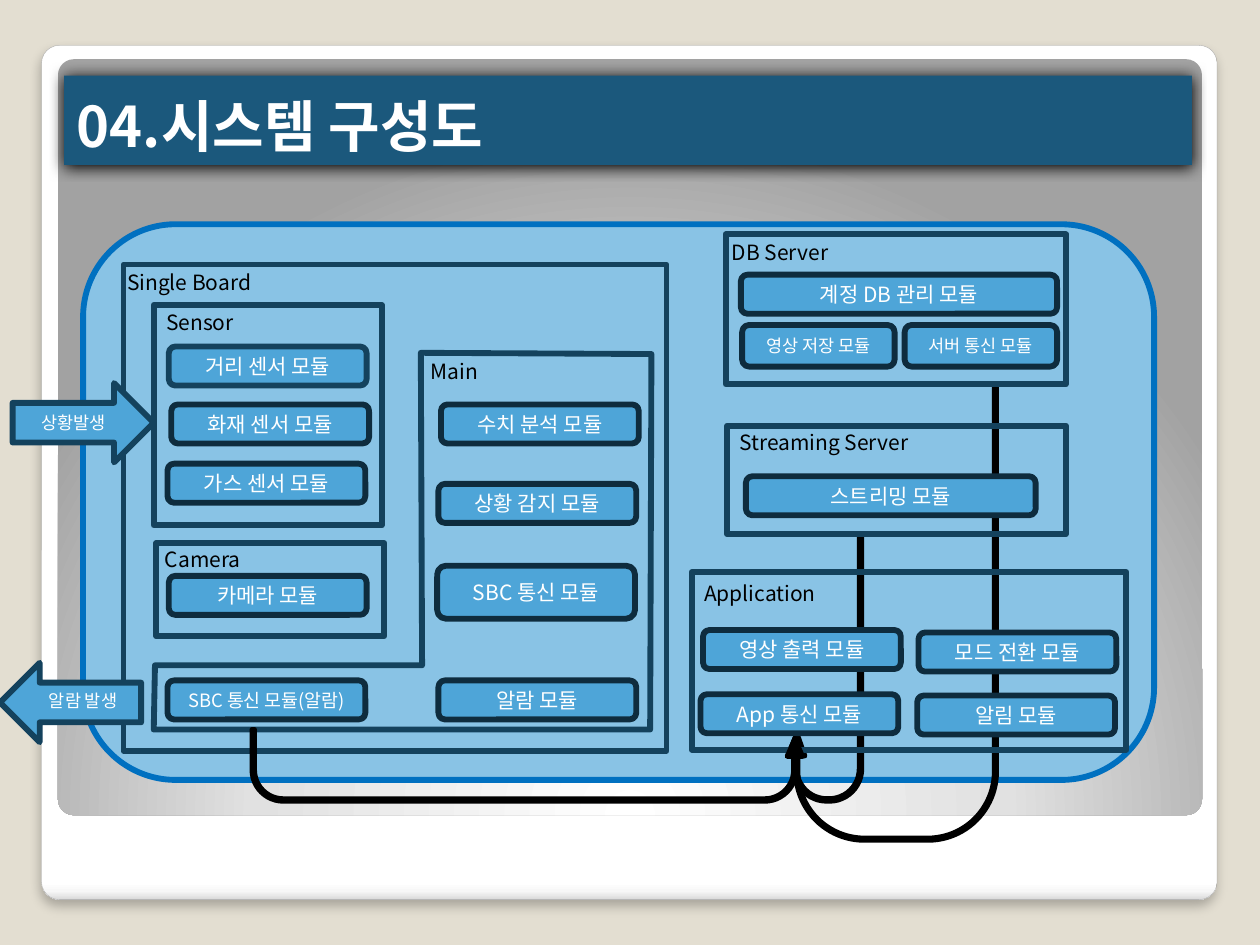
from lxml import etree
from pptx import Presentation
from pptx import util as u
from pptx.dml.color import RGBColor
from pptx.enum import shapes, text
from pptx.oxml import ns

THEME = dict(
    font="Noto Sans CJK KR", back="E3DED1", title_bar="1B587C",
    area="89C3E5", area_line="0070C0", frame="14425D",
    module="4EA5D8", module_line="0E2C3E", flow="000000",
    light="FFFFFF", dark="000000", card_line="A4A4A4",
    title_size=32, size=12, note=10.5, small=10,
    line=3.35, flow_line=2.75,
)
TITLE = "04.시스템 구성도"
CARD = (0.33, 0.36, 9.33, 6.78)
PANEL = (0.46, 0.47, 9.08, 6)
TITLE_BAR = (0.51, 0.6, 8.95, 0.71)
SYSTEM = (0.66, 1.78, 8.5, 4.41)

# box, adjustments, horizontal flip
SERVER_FLOWS = [
    ((6.26, 3.07, 1.65, 3.6), (0.011, 0.039, 0.111, 0.331, 0.237), True),
    ((6.25, 4.26, 0.59, 2.1), (0.036, 0.107, 0.25, 0.438, 0.242), True),
]
ALARM_FLOW = ((2, 5.79, 4.37, 0.57), (0.036, 0.107, 0.25, 0.438, 0.875), False)

FRAMES = [
    (0.98, 2.1, 4.31, 3.86), (1.22, 2.42, 1.81, 1.75), (1.24, 4.31, 1.81, 0.74),
    (5.77, 3.38, 2.69, 0.86), (5.49, 4.54, 3.45, 1.41), (5.76, 1.86, 2.7, 1.19),
]
MAIN_OUTLINE = [(3.34, 2.8), (5.17, 2.81), (5.16, 5.79),
                (1.22, 5.79), (1.23, 5.28), (3.35, 5.28)]
LABELS = [
    ("Single Board", 0.91, 2.09), ("Sensor", 1.22, 2.41), ("Camera", 1.21, 4.29),
    ("Main", 3.32, 2.8), ("Streaming Server", 5.77, 3.36),
    ("Application", 5.49, 4.56), ("DB Server", 5.71, 1.85),
]
# text, left, top, then any differences from the usual module
MODULE = dict(w=1.57, h=0.31, size="size", line="module_line")
MODULES = [
    ("거리 센서 모듈", 1.34, 2.75, dict(line="frame")),
    ("화재 센서 모듈", 1.36, 3.21, {}),
    ("가스 센서 모듈", 1.33, 3.68, {}),
    ("카메라 모듈", 1.34, 4.57, {}),
    ("SBC 통신 모듈(알람)", 1.33, 5.4, dict(size="note")),
    ("수치 분석 모듈", 3.5, 3.21, {}),
    ("상황 감지 모듈", 3.48, 3.84, {}),
    ("SBC 통신 모듈", 3.47, 4.49, dict(h=0.42)),
    ("알람 모듈", 3.48, 5.4, {}),
    ("계정 DB 관리 모듈", 5.88, 2.18, dict(w=2.51)),
    ("영상 저장 모듈", 5.89, 2.58, dict(w=1.21, h=0.33, size="small")),
    ("서버 통신 모듈", 7.18, 2.58, dict(w=1.21, h=0.33, size="small")),
    ("스트리밍 모듈", 5.92, 3.78, dict(w=2.3)),
    ("영상 출력 모듈", 5.58, 5, {}),
    ("모드 전환 모듈", 7.29, 5.02, {}),
    ("App 통신 모듈", 5.56, 5.51, {}),
    ("알림 모듈", 7.28, 5.52, {}),
]
EVENT_IN = ("상황발생", (0.1, 3.04, 1.12, 0.63))
ALARM_OUT = ("알람 발생", (0, 5.26, 1.12, 0.63), (0.29, 5.43, 0.81, 0.27))

SHAPE = shapes.MSO_SHAPE


def rgb(key):
    return RGBColor.from_string(THEME[key])


def style(sp, fill=None, line=None, width="line"):
    sp.shadow.inherit = False
    if fill:
        sp.fill.solid()
        sp.fill.fore_color.rgb = rgb(fill)
    else:
        sp.fill.background()
    if line:
        sp.line.color.rgb = rgb(line)
        sp.line.width = u.Pt(THEME[width])
    else:
        sp.line.fill.background()
    return sp


def add_box(slide, kind, box, fill=None, line=None, width="line"):
    sp = slide.shapes.add_shape(kind, *map(u.Inches, box))
    return style(sp, fill, line, width)


def write(sp, words, size="size", color="light", align=text.PP_ALIGN.CENTER,
          anchor=text.MSO_ANCHOR.MIDDLE, inset=0.02, bold=False):
    tf = sp.text_frame
    tf.text = words
    tf.word_wrap = True
    tf.auto_size = text.MSO_AUTO_SIZE.NONE
    tf.vertical_anchor = anchor
    tf.margin_left = tf.margin_right = u.Inches(inset)
    p = tf.paragraphs[0]
    p.alignment = align
    for r in p.runs:
        r.font.size = u.Pt(THEME[size])
        r.font.bold = bold
        r.font.color.rgb = rgb(color)
        r.font.name = THEME["font"]
        ea = etree.SubElement(r.font._element, ns.qn("a:ea"))
        ea.set("typeface", THEME["font"])


def add_label(slide, words, box, **look):
    sp = slide.shapes.add_textbox(*map(u.Inches, box))
    write(sp, words, align=text.PP_ALIGN.LEFT, anchor=text.MSO_ANCHOR.TOP,
          inset=0.1, **look)


def add_color(parent, color, alpha=100):
    clr = etree.SubElement(parent, ns.qn("a:srgbClr"), val=color)
    if alpha < 100:
        etree.SubElement(clr, ns.qn("a:alpha"), val=str(alpha * 1000))


def set_gradient(sp, stops, focus=None):
    """Fill with (percent, colour) stops, downwards or around a focus."""
    sp.fill.gradient()
    grad = sp._element.spPr.find(ns.qn("a:gradFill"))
    for child in list(grad):
        grad.remove(child)
    stop_list = etree.SubElement(grad, ns.qn("a:gsLst"))
    for pos, color in stops:
        add_color(etree.SubElement(stop_list, ns.qn("a:gs"), pos=str(pos * 1000)), color)
    if focus:
        around = etree.SubElement(grad, ns.qn("a:path"), path="circle")
        etree.SubElement(around, ns.qn("a:fillToRect"),
                         {side: str(v * 1000) for side, v in zip("ltrb", focus)})
    else:
        etree.SubElement(grad, ns.qn("a:lin"), ang="5400000", scaled="0")


def set_shadow(sp, alpha, blur, dist):
    effects = sp._element.spPr.find(ns.qn("a:effectLst"))
    shadow = etree.SubElement(effects, ns.qn("a:outerShdw"), blurRad=str(u.Pt(blur)),
                              dist=str(u.Pt(dist)), dir="5400000", rotWithShape="0")
    add_color(shadow, THEME["dark"], alpha)


def add_flow(slide, box, adjustments, flip_h):
    sp = add_box(slide, SHAPE.U_TURN_ARROW, box, "flow", "flow", "flow_line")
    for i, value in enumerate(adjustments):
        sp.adjustments[i] = value
    xfrm = sp._element.spPr.find(ns.qn("a:xfrm"))
    xfrm.set("flipV", "1")
    if flip_h:
        xfrm.set("flipH", "1")


def add_backdrop(slide):
    slide.background.fill.solid()
    slide.background.fill.fore_color.rgb = rgb("back")
    card = add_box(slide, SHAPE.ROUNDED_RECTANGLE, CARD, "light", "card_line")
    card.line.width = u.Pt(0.16)
    set_gradient(card, [(0, "FFFFFF"), (98, "FFFFFF"), (99, "F7F7F7"), (100, "DADADA")])
    set_shadow(card, 25, 6, 4)
    panel = add_box(slide, SHAPE.ROUNDED_RECTANGLE, PANEL, "light")
    set_gradient(panel, [(0, "FFFFFF"), (55, "E1E1E1"), (100, "A2A2A2")], (50, 175, 50, -75))
    card.adjustments[0] = panel.adjustments[0] = 0.021


def add_title(slide):
    title = slide.shapes.title
    slide.shapes._spTree.append(title._element)  # bring in front of the backdrop
    title.left, title.top, title.width, title.height = map(u.Inches, TITLE_BAR)
    style(title, "title_bar")
    set_shadow(title, 100, 8.5, 1)
    write(title, TITLE, "title_size", align=text.PP_ALIGN.LEFT,
          anchor=text.MSO_ANCHOR.BOTTOM, inset=0.1, bold=True)


def main():
    prs = Presentation()
    prs.slide_width, prs.slide_height = u.Inches(10), u.Inches(7.5)
    slide = prs.slides.add_slide(prs.slide_layouts[5])
    add_backdrop(slide)
    add_title(slide)
    add_box(slide, SHAPE.ROUNDED_RECTANGLE, SYSTEM, "area", "area_line")
    for flow in SERVER_FLOWS:
        add_flow(slide, *flow)

    for box in FRAMES:
        add_box(slide, SHAPE.RECTANGLE, box, line="frame")
    start, *rest = [(u.Inches(x), u.Inches(y)) for x, y in MAIN_OUTLINE]
    outline = slide.shapes.build_freeform(*start)
    outline.add_line_segments(rest, close=True)
    style(outline.convert_to_shape(), line="frame")
    for words, x, y in LABELS:
        add_label(slide, words, (x, y, 1.65, 0.3), color="dark")

    for words, x, y, changes in MODULES:
        m = {**MODULE, **changes}
        sp = add_box(slide, SHAPE.ROUNDED_RECTANGLE, (x, y, m["w"], m["h"]), "module", m["line"])
        write(sp, words, m["size"])
    add_flow(slide, *ALARM_FLOW)

    words, box = EVENT_IN
    write(add_box(slide, SHAPE.RIGHT_ARROW, box, "module", "frame"), words, "small")
    words, box, label_box = ALARM_OUT
    add_box(slide, SHAPE.RIGHT_ARROW, box, "module", "frame").rotation = 180
    add_label(slide, words, label_box, size="small")
    prs.save("out.pptx")


if __name__ == "__main__":
    main()
